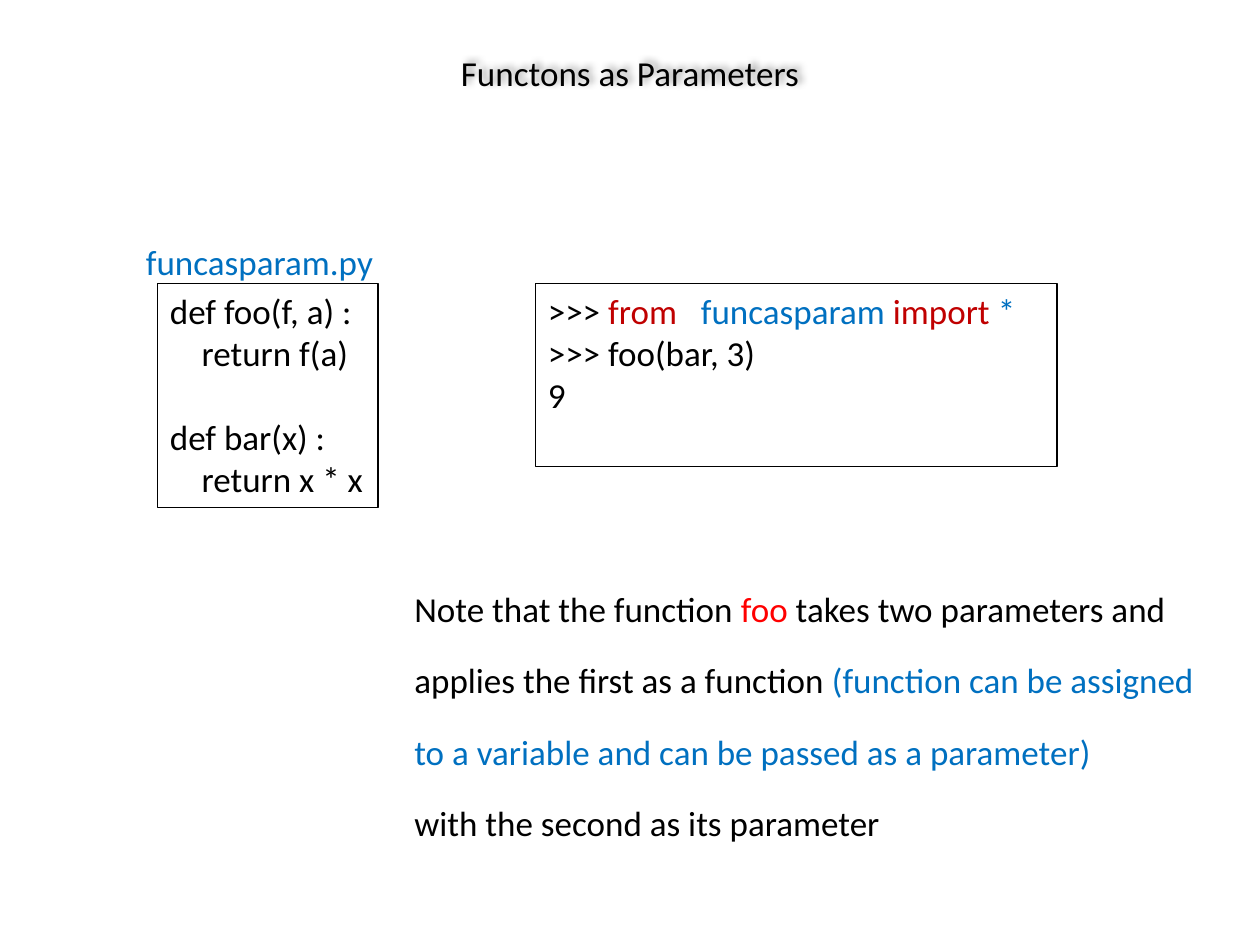
from lxml import etree
from pptx import Presentation
from pptx.dml.color import RGBColor
from pptx.enum.text import MSO_ANCHOR, PP_ALIGN
from pptx.oxml.ns import qn
from pptx.util import Inches, Pt

MIDDLE, TOP = MSO_ANCHOR.MIDDLE, MSO_ANCHOR.TOP
CENTER, LEFT = PP_ALIGN.CENTER, PP_ALIGN.LEFT
WIDE, HIGH = 10, 7.5
FONT, SIZE = "Calibri", 20
BLACK, BLUE, DARK, RED = "000000", "0070C0", "C00000", "FF0000"
EDGE = 0.3 * HIGH

TITLE = [[("Functons as Parameters", BLACK)]]
FILE = [[("funcasparam.py", BLUE)]]
CODE = [[(line, BLACK)] for line in (
    "def foo(f, a) :",
    "    return f(a)",
    "",
    "def bar(x) :",
    "    return x * x",
)]
SHELL = [
    [(">>> ", BLACK), ("from   ", DARK), ("funcasparam ", BLUE),
     ("import ", DARK), ("*", BLUE)],
    [(">>> foo(bar, 3)", BLACK)],
    [("9", BLACK)],
]
NOTE = [[
    ("Note that the function ", BLACK),
    ("foo", RED),
    (" takes two parameters and applies the first as a function ", BLACK),
    ("(function can be assigned to a variable and can be passed "
     "as a parameter)", BLUE),
    ("\n", BLUE),
    ("with the second as its parameter", BLACK),
]]


def color(code):
    return RGBColor.from_string(code)


def write(slide, paras, area, wrap=True, align=LEFT, anchor=TOP,
          gap=1.0, line=None):
    box = slide.shapes.add_textbox(*(Inches(v) for v in area))
    if line:
        box.line.color.rgb = color(line)
        box.line.width = Pt(0.75)
    frame = box.text_frame
    frame.word_wrap = wrap
    frame.vertical_anchor = anchor
    for i, parts in enumerate(paras):
        para = frame.paragraphs[0] if i == 0 else frame.add_paragraph()
        para.alignment = align
        para.line_spacing = gap
        para.font.size = Pt(SIZE)
        for text, tint in parts:
            if text == "\n":
                para.add_line_break()
                continue
            run = para.add_run()
            run.text = text
            run.font.name = FONT
            run.font.size = Pt(SIZE)
            run.font.color.rgb = color(tint)
    return box


def shade(box, tint, alpha, blur, dist, angle):
    props = box.fill._xPr
    effects = etree.SubElement(props, qn("a:effectLst"))
    outer = etree.SubElement(
        effects, qn("a:outerShdw"), blurRad=str(Pt(blur)),
        dist=str(Pt(dist)), dir=str(angle * 60000), rotWithShape="0")
    tone = etree.SubElement(outer, qn("a:srgbClr"), val=tint)
    etree.SubElement(tone, qn("a:alpha"), val=str(alpha * 1000))


def main():
    """Build the slide on functions as parameters."""
    deck = Presentation()
    deck.slide_width, deck.slide_height = Inches(WIDE), Inches(HIGH)
    slide = deck.slides.add_slide(deck.slide_layouts[6])
    side = 0.023 * WIDE
    title = write(slide, TITLE, (side, 0.04 * HIGH, WIDE - 2 * side, 0.55),
                  align=CENTER, anchor=MIDDLE)
    shade(title, BLACK, 40, 4, 3, 315)
    write(slide, CODE, (WIDE / 8, EDGE, 1.75, 1.78), wrap=False, line=BLACK)
    write(slide, SHELL, (0.425 * WIDE, EDGE, 4.14, 1.45), line=BLACK)
    write(slide, NOTE, (3.19, 4.38, 6.45, 2.39), gap=1.7)
    write(slide, FILE, (1.06, 1.86, 2.36, 0.44))
    deck.save("out.pptx")


if __name__ == "__main__":
    main()
